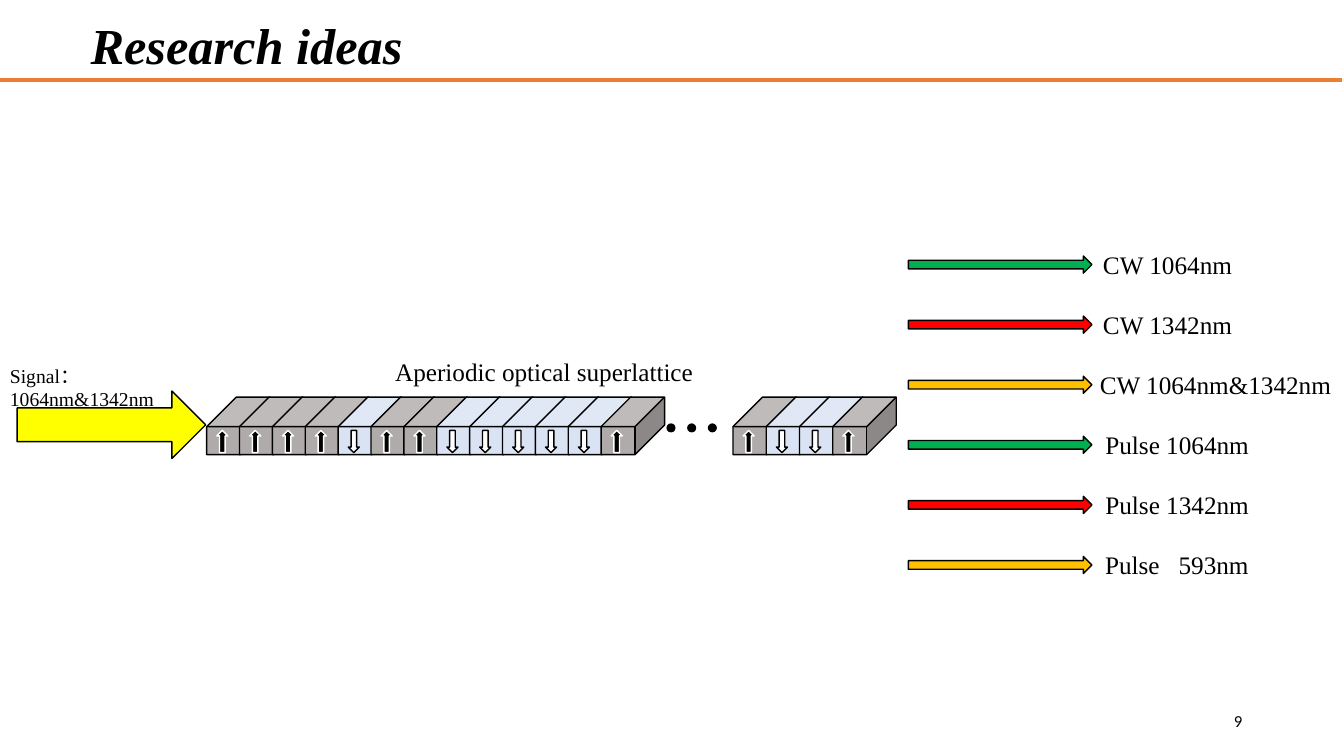
from lxml.etree import SubElement
from pptx import Presentation
from pptx.dml.color import RGBColor
from pptx.enum.shapes import MSO_CONNECTOR, MSO_SHAPE
from pptx.enum.text import MSO_ANCHOR, PP_ALIGN
from pptx.oxml.ns import qn
from pptx.util import Inches, Pt

COLORS = {
    "black": "000000",
    "white": "FFFFFF",
    "rule": "ED7D31",
    "green": "00B050",
    "red": "FF0000",
    "amber": "FFC000",
    "signal": "FFFF00",
    "up_domain": "AFABAB",
    "down_domain": "DAE3F3",
}
SERIF = "Times New Roman"
OUTPUTS = [  # label, arrow color, label left, label width
    ("CW 1064nm", "green", 10.83, 1.5),
    ("CW 1342nm", "red", 10.83, 1.5),
    ("CW 1064nm&1342nm", "amber", 10.8, 2.51),
    ("Pulse 1064nm", "green", 10.8, 1.75),
    ("Pulse 1342nm", "red", 10.8, 1.75),
    ("Pulse\t593nm", "amber", 10.8, 1.75),
]


def color(name):
    return RGBColor.from_string(COLORS[name])


def add_text(slide, text, left, top, width, height, size,
             align=PP_ALIGN.LEFT, font=SERIF, wrap=False, tab=None):
    """Add a one-paragraph text box; tab is an optional tab stop in inches."""
    box = slide.shapes.add_textbox(Inches(left), Inches(top), Inches(width), Inches(height))
    frame = box.text_frame
    frame.word_wrap = wrap
    paragraph = frame.paragraphs[0]
    paragraph.text = text
    paragraph.alignment = align
    if tab:
        tab_list = SubElement(paragraph._p.get_or_add_pPr(), qn("a:tabLst"))
        SubElement(tab_list, qn("a:tab"), pos=str(Inches(tab)), algn="l")
    paragraph.font.name = font
    paragraph.font.size = Pt(size)
    paragraph.font.color.rgb = color("black")
    return box


def add_solid(shapes, kind, left, top, width, height, fill, line="black"):
    shape = shapes.add_shape(kind, Inches(left), Inches(top), Inches(width), Inches(height))
    shape.shadow.inherit = False
    shape.fill.solid()
    shape.fill.fore_color.rgb = color(fill)
    if line:
        shape.line.color.rgb = color(line)
        shape.line.width = Pt(1)
    else:
        shape.line.fill.background()
    return shape


def add_header(slide, left, top, width):
    rule = slide.shapes.add_connector(
        MSO_CONNECTOR.STRAIGHT, Inches(left), Inches(top + 0.79),
        Inches(left + width), Inches(top + 0.79))
    rule.line.color.rgb = color("rule")
    rule.line.width = Pt(3)
    SubElement(rule._element.spPr, qn("a:effectLst"))
    title = add_text(slide, "Research ideas", left + 0.8, top + 0.09, 3.33, 0.71, 36)
    title_font = title.text_frame.paragraphs[0].font
    title_font.bold = True
    title_font.italic = True


def add_signal(slide, left, top):
    add_solid(slide.shapes, MSO_SHAPE.RIGHT_ARROW, left + 0.17, top + 0.32, 1.87, 0.67, "signal")
    label = add_text(slide, "Signal：1064nm&1342nm", left, top, 2.34, 0.34, 14, wrap=True)
    label.text_frame.margin_right = Inches(0.7)


def add_domains(shapes, directions, left, top, pitch):
    """Draw a row of poled domains: U points up, D points down."""
    for index, direction in enumerate(directions):
        x = left + index * pitch
        up = direction == "U"
        cube = add_solid(shapes, MSO_SHAPE.CUBE, x, top, 0.63, 0.57,
                         "up_domain" if up else "down_domain")
        cube.adjustments[0] = 0.515
        fill, line = ("black", "white") if up else ("white", "black")
        arrow = add_solid(shapes, MSO_SHAPE.UP_ARROW, x + 0.1, top + 0.33, 0.11, 0.22, fill, line)
        arrow.rotation = 0 if up else 180


def add_superlattice(slide, left, top):
    add_text(slide, "Aperiodic optical superlattice", left + 1.77, top - 0.45, 3.19, 0.4, 18)
    shapes = slide.shapes.add_group_shape().shapes
    add_domains(shapes, "UUUUDUUDDDDDU", left, top, 0.326)
    add_domains(shapes, "UDDU", left + 5.22, top, 0.33)
    for index in range(3):
        add_solid(shapes, MSO_SHAPE.OVAL, left + 4.56 + index * 0.205, top + 0.26,
                  0.09, 0.09, "black", None)


def add_outputs(slide, left, top, pitch):
    for index, (label, fill, label_left, label_width) in enumerate(OUTPUTS):
        y = top + index * pitch
        add_solid(slide.shapes, MSO_SHAPE.RIGHT_ARROW, left, y + 0.12, 1.82, 0.17, fill)
        tabbed = "\t" in label
        box = add_text(slide, label, label_left, y, label_width, 0.4, 18,
                       PP_ALIGN.LEFT if tabbed else PP_ALIGN.CENTER,
                       wrap=tabbed, tab=0.73 if tabbed else None)
        if tabbed:
            box.text_frame.margin_left = Inches(0.16)


def add_page_number(slide, left, top):
    number = add_text(slide, "9", left, top, 3, 0.4, 12, PP_ALIGN.RIGHT, "Calibri", True)
    number.text_frame.vertical_anchor = MSO_ANCHOR.MIDDLE


def main():
    presentation = Presentation()
    presentation.slide_width = Inches(13.33)
    presentation.slide_height = Inches(7.5)
    slide = presentation.slides.add_slide(presentation.slide_layouts[6])
    add_header(slide, 0, 0, 13.31)
    add_signal(slide, 0, 3.56)
    add_superlattice(slide, 2.05, 3.94)
    add_outputs(slide, 9.01, 2.42, 0.596)
    add_page_number(slide, 9.42, 6.95)
    presentation.save("out.pptx")


if __name__ == "__main__":
    main()
